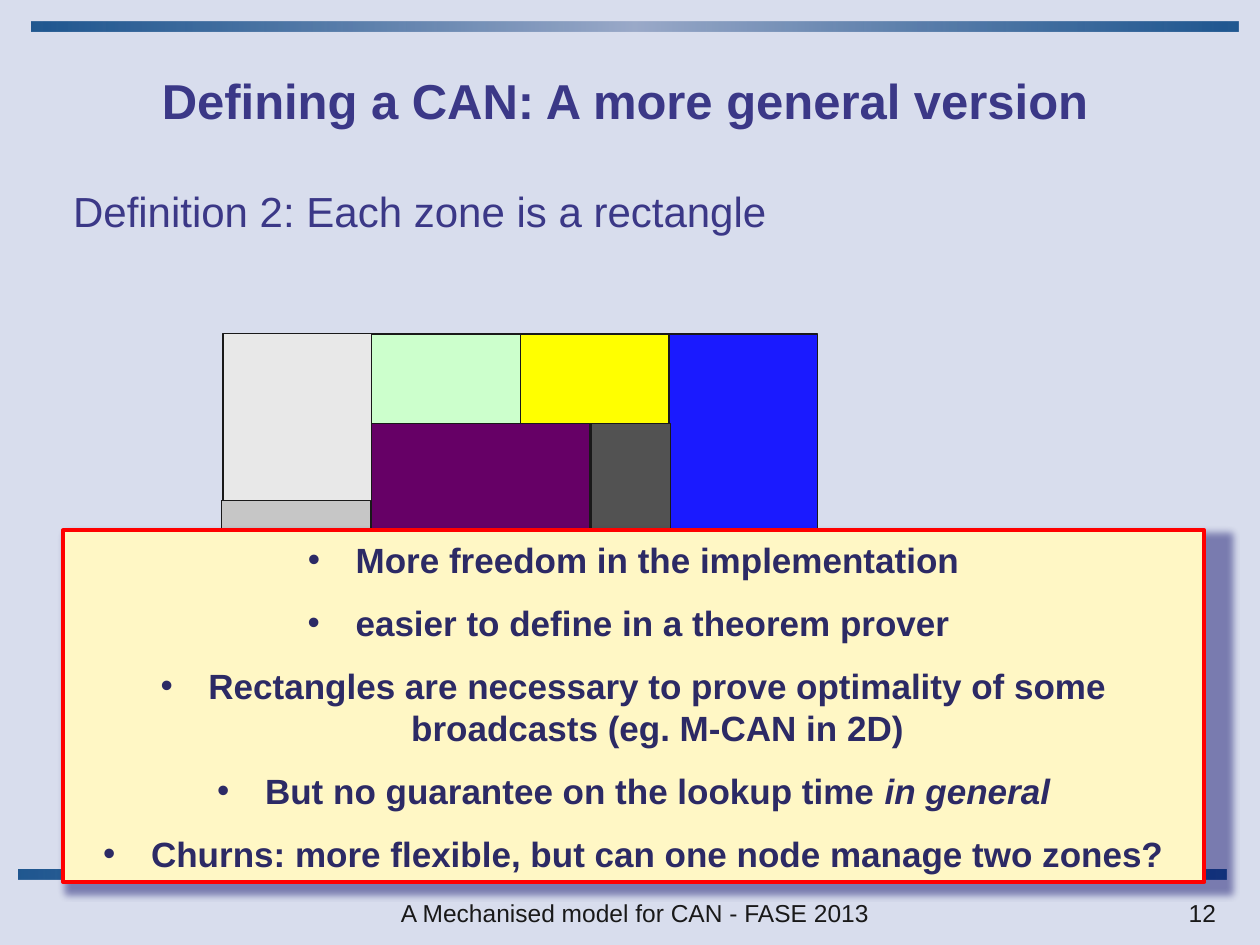
from lxml import etree
from pptx import Presentation
from pptx.dml.color import RGBColor
from pptx.enum.shapes import MSO_SHAPE
from pptx.enum.text import MSO_ANCHOR, MSO_AUTO_SIZE, PP_ALIGN
from pptx.oxml import parse_xml
from pptx.util import Inches, Pt

RECTANGLE = MSO_SHAPE.RECTANGLE
LEFT, CENTER, RIGHT = PP_ALIGN.LEFT, PP_ALIGN.CENTER, PP_ALIGN.RIGHT
TOP, MIDDLE = MSO_ANCHOR.TOP, MSO_ANCHOR.MIDDLE
NO_AUTOSIZE = MSO_AUTO_SIZE.NONE
DRAWING = "http://schemas.openxmlformats.org/drawingml/2006/main"

BAR_GRADIENT = f"""<a:gradFill xmlns:a="{DRAWING}" rotWithShape="1"><a:gsLst>
<a:gs pos="0"><a:srgbClr val="004080"><a:alpha val="85000"/></a:srgbClr></a:gs>
<a:gs pos="50000"><a:srgbClr val="9BAAC9"/></a:gs>
<a:gs pos="100000"><a:srgbClr val="004080"><a:alpha val="85000"/></a:srgbClr></a:gs>
</a:gsLst><a:lin ang="0" scaled="1"/></a:gradFill>"""
BOX_SHADOW = f"""<a:effectLst xmlns:a="{DRAWING}">
<a:outerShdw blurRad="50800" dist="38100" dir="2700000" sx="102000" sy="102000" algn="tl" rotWithShape="0">
<a:srgbClr val="000060"><a:alpha val="43000"/></a:srgbClr></a:outerShdw></a:effectLst>"""


def color(hex_value):
    return RGBColor.from_string(hex_value)


def write_text(shape, paragraphs, align, anchor, font):
    """Fill a shape with paragraphs, each a list of (text, italic) spans."""
    frame = shape.text_frame
    frame.word_wrap = True
    frame.auto_size = NO_AUTOSIZE
    frame.vertical_anchor = anchor
    for index, spans in enumerate(paragraphs):
        para = frame.add_paragraph() if index else frame.paragraphs[0]
        para.alignment = align
        for text, italic in spans:
            span = para.add_run()
            span.text = text
            span.font.name = "Arial"
            span.font.italic = italic
            for name, value in font.items():
                if name == "color":
                    span.font.color.rgb = color(value)
                else:
                    setattr(span.font, name, value)


deck = Presentation()
deck.slide_width, deck.slide_height = Inches(10), Inches(7.5)
page = deck.slides.add_slide(deck.slide_layouts[1])
page.background.fill.solid()
page.background.fill.fore_color.rgb = color("D8DDED")

# Bars at the top and bottom
for left, top in [(0.15, 6.9), (0.25, 0.17)]:
    bar = page.shapes.add_shape(RECTANGLE, Inches(left), Inches(top), Inches(9.58), Inches(0.08))
    bar.shadow.inherit = False
    bar.line.fill.background()
    bar.fill.background()
    properties = bar.fill._xPr
    properties.replace(properties.find(f"{{{DRAWING}}}noFill"), parse_xml(BAR_GRADIENT))

# Title and definition
title, body = page.shapes.title, page.placeholders[1]
for holder, place in [(title, (0.44, 0.33, 9.04, 0.92)), (body, (0.48, 1.42, 9.02, 5))]:
    holder.left, holder.top, holder.width, holder.height = map(Inches, place)
write_text(title, [[("Defining a CAN: A more general version", False)]], CENTER, MIDDLE,
           {"size": Pt(28), "bold": True, "color": "3B3887"})
write_text(body, [[("Definition 2: Each zone is a rectangle", False)]], LEFT, TOP,
           {"size": Pt(24), "color": "3B3887"})
body_format = body.text_frame.paragraphs[0]._p.get_or_add_pPr()
body_format.set("marL", "0")
body_format.set("indent", "0")
etree.SubElement(body_format, f"{{{DRAWING}}}buNone")

# Zones of the CAN
zones = [
    (1.77, 2.65, 1.18, 1.34, "E8E8E8"),
    (2.95, 2.65, 1.18, 0.71, "CCFFCC"),
    (4.13, 2.65, 1.18, 0.71, "FFFF00"),
    (5.31, 2.65, 1.18, 2.91, "1A1AFF"),
    (4.69, 3.36, 0.63, 0.94, "525252"),
    (2.95, 3.36, 1.73, 0.94, "660066"),
    (1.76, 3.97, 1.18, 0.94, "C6C6C6"),
]
for *place, fill in zones:
    zone = page.shapes.add_shape(RECTANGLE, *map(Inches, place))
    zone.shadow.inherit = False
    zone.fill.solid()
    zone.fill.fore_color.rgb = color(fill)
    zone.line.color.rgb = color("191919")
    zone.line.width = Pt(0.75)

# Remarks box
box = page.shapes.add_shape(RECTANGLE, Inches(0.5), Inches(4.21), Inches(9.06), Inches(2.79))
box.fill.solid()
box.fill.fore_color.rgb = color("FFF7C5")
box.line.color.rgb = color("FF0000")
box.line.width = Pt(2.25)
box._element.spPr.append(parse_xml(BOX_SHADOW))
remarks = [
    [("More freedom in the implementation", False)],
    [("easier to define in a theorem prover ", False)],
    [("Rectangles are necessary to prove optimality of some broadcasts (eg. M-CAN in 2D)", False)],
    [("But no guarantee on the lookup time ", False), ("in general", True)],
    [("Churns: more flexible, but can one node manage two zones?", False)],
]
write_text(box, remarks, CENTER, MIDDLE, {"size": Pt(20), "bold": True, "color": "2C2A65"})
for para in box.text_frame.paragraphs:
    para.space_after = Pt(12)
    para_format = para._p.get_or_add_pPr()
    para_format.set("marL", str(Inches(0.38)))
    para_format.set("indent", str(-Inches(0.38)))
    etree.SubElement(para_format, f"{{{DRAWING}}}buFont", typeface="Arial")
    etree.SubElement(para_format, f"{{{DRAWING}}}buChar", char="•")

# Slide number and footer
for left, width, text, align in [
    (7.92, 1.83, "12", RIGHT),
    (2.5, 5.08, "A Mechanised model for CAN - FASE 2013", CENTER),
]:
    footer = page.shapes.add_textbox(Inches(left), Inches(7.08), Inches(width), Inches(0.25))
    write_text(footer, [[(text, False)]], align, TOP, {"size": Pt(14), "color": "191919"})

deck.save("out.pptx")
